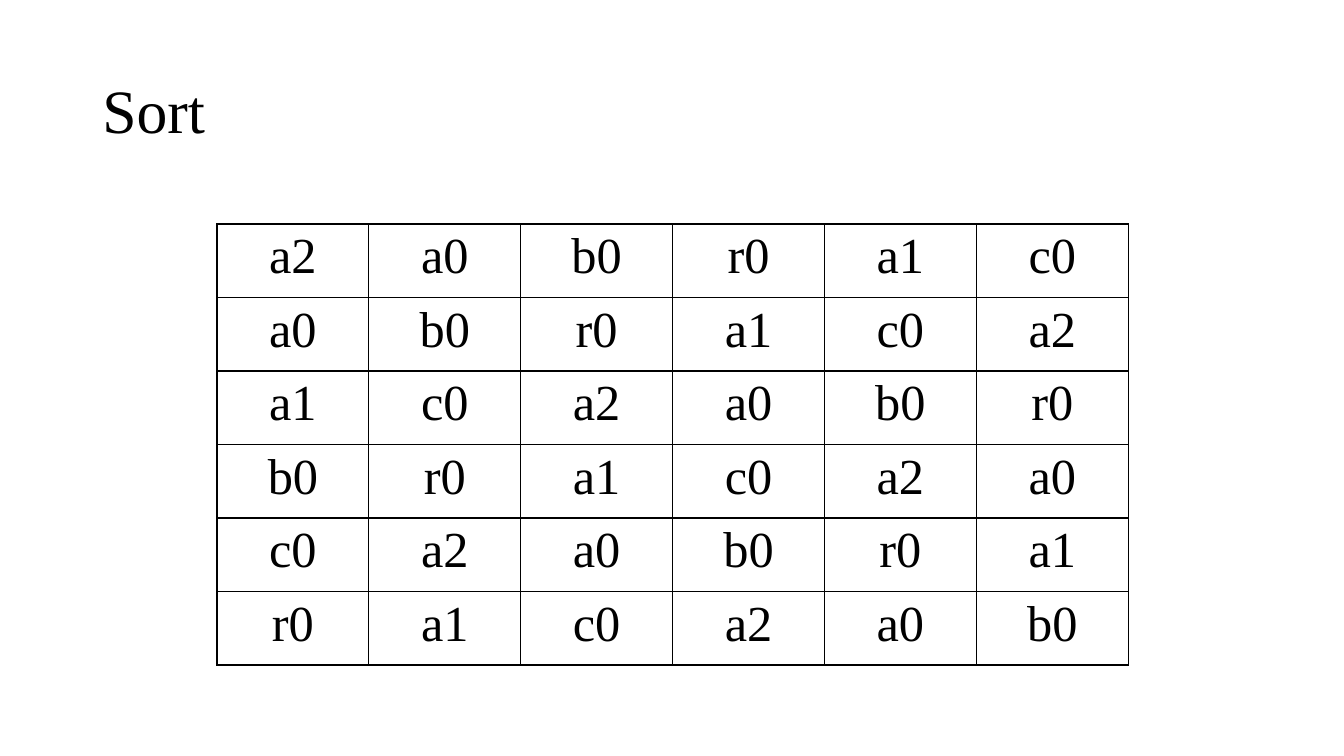
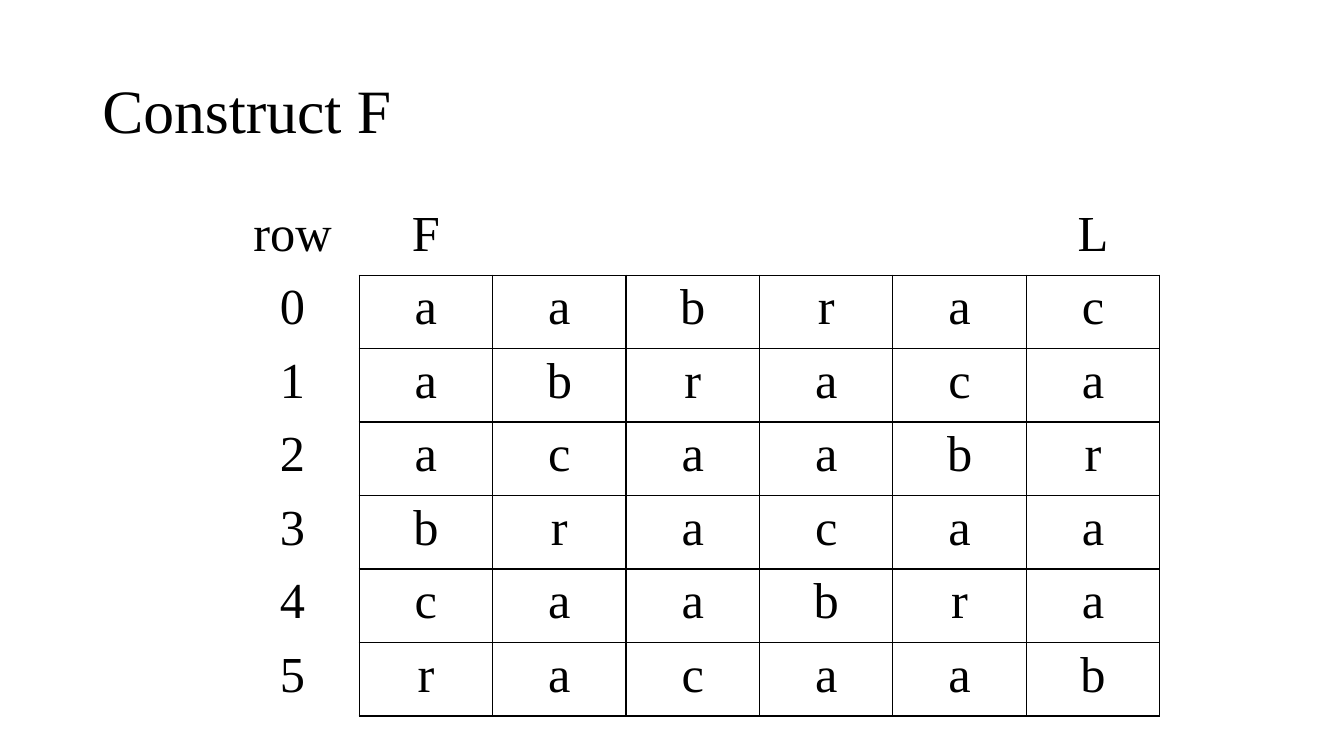
from dataclasses import dataclass

from lxml.etree import SubElement
from pptx import Presentation
from pptx.dml.color import RGBColor
from pptx.enum.text import MSO_ANCHOR, PP_ALIGN
from pptx.oxml.ns import qn
from pptx.util import Emu, Pt


@dataclass(frozen=True)
class Theme:
    font: str = "Times New Roman"
    ink: str = "000000"
    paper: str = "FFFFFF"
    title_size: int = 44
    cell_size: int = 36
    border: int = 1


THEME = Theme()
PX = 6350
ROW_HEIGHT = 105


def write(text_frame, text, size, align=PP_ALIGN.LEFT, line_spacing=1.0):
    paragraph = text_frame.paragraphs[0]
    paragraph.alignment = align
    paragraph.line_spacing = line_spacing
    run = paragraph.add_run()
    run.text = text
    run.font.name = THEME.font
    run.font.size = Pt(size)
    run.font.bold = False
    run.font.color.rgb = RGBColor.from_string(THEME.ink)


def set_border(cell, side, visible):
    line = SubElement(cell._tc.get_or_add_tcPr(), qn(f"a:ln{side}"))
    if visible:
        line.set("w", str(Pt(THEME.border)))
        fill = SubElement(line, qn("a:solidFill"))
        SubElement(fill, qn("a:srgbClr")).set("val", THEME.ink)
    else:
        line.set("w", "0")
        SubElement(line, qn("a:noFill"))


sorted_rotations = [
    row.split()
    for row in (
        "a2 a0 b0 r0 a1 c0",
        "a0 b0 r0 a1 c0 a2",
        "a1 c0 a2 a0 b0 r0",
        "b0 r0 a1 c0 a2 a0",
        "c0 a2 a0 b0 r0 a1",
        "r0 a1 c0 a2 a0 b0",
    )
]
labelled_rows = [["", "row", "F", "", "", "", "", "L"]]
for number, rotation in enumerate(sorted_rotations):
    labelled_rows.append(["", str(number)] + [token[0] for token in rotation])

# title, cell texts, left, top, width, first bordered row, first bordered column
slides = [
    ("Sort", sorted_rotations, 310, 320, 1302, 0, 0),
    ("Construct F", labelled_rows, 132, 288, 1525, 1, 2),
]

presentation = Presentation()
presentation.slide_width = Emu(1920 * PX)
presentation.slide_height = Emu(1080 * PX)

for title, rows, left, top, width, grid_row, grid_column in slides:
    slide = presentation.slides.add_slide(presentation.slide_layouts[6])
    slide.background.fill.solid()
    slide.background.fill.fore_color.rgb = RGBColor.from_string(THEME.paper)

    title_box = slide.shapes.add_textbox(132 * PX, 58 * PX, 1656 * PX, 209 * PX)
    title_box.text_frame.word_wrap = True
    title_box.text_frame.vertical_anchor = MSO_ANCHOR.MIDDLE
    write(title_box.text_frame, title, THEME.title_size, line_spacing=0.9)

    table = slide.shapes.add_table(
        len(rows), len(rows[0]), left * PX, top * PX, width * PX, len(rows) * ROW_HEIGHT * PX
    ).table
    table.first_row = False
    table.horz_banding = False
    for column in table.columns:
        column.width = Emu(width * PX // len(rows[0]))

    for row_index, row in enumerate(rows):
        table.rows[row_index].height = Emu(ROW_HEIGHT * PX)
        for column_index, text in enumerate(row):
            cell = table.cell(row_index, column_index)
            in_rows = row_index >= grid_row
            in_columns = column_index >= grid_column
            set_border(cell, "L", in_rows and in_columns)
            set_border(cell, "R", in_rows and column_index >= grid_column - 1)
            set_border(cell, "T", in_rows and in_columns)
            set_border(cell, "B", row_index >= grid_row - 1 and in_columns)
            cell.fill.background()
            if text:
                write(cell.text_frame, text, THEME.cell_size, align=PP_ALIGN.CENTER)

presentation.save("out.pptx")
